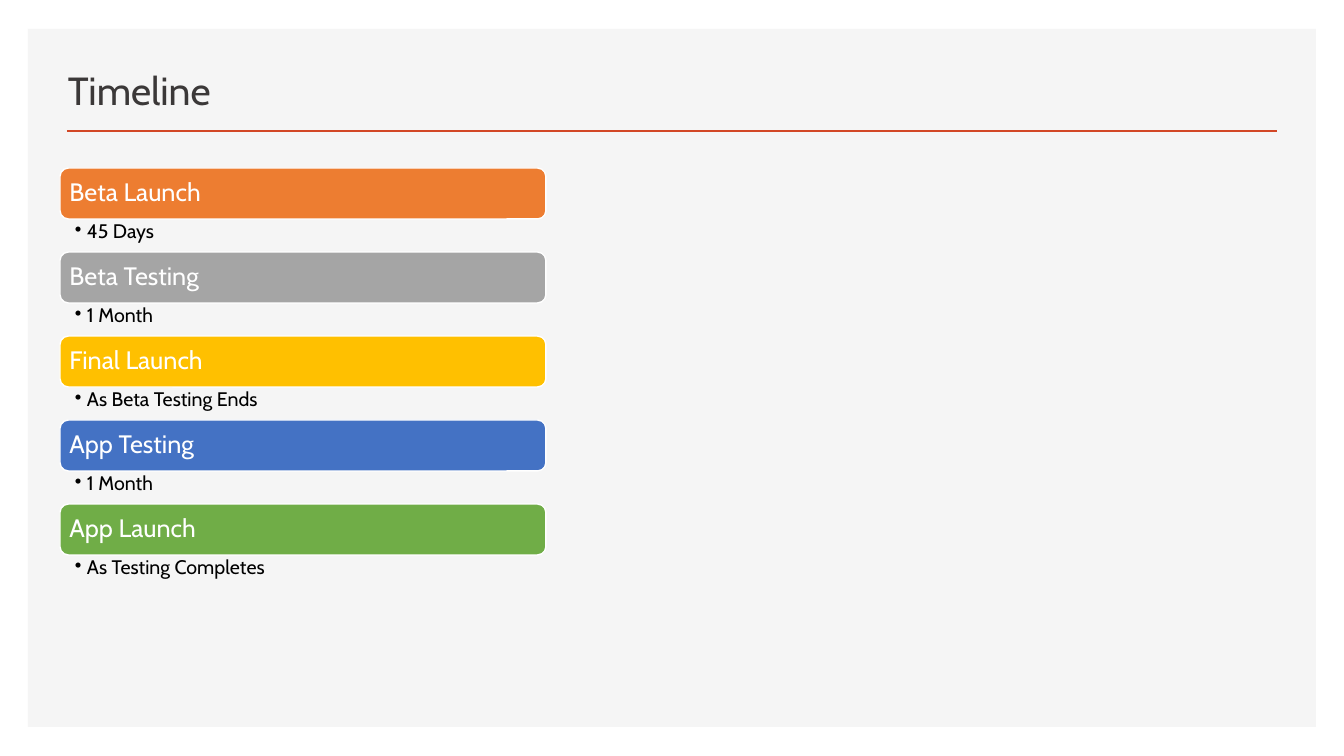
from lxml import etree
from pptx import Presentation
from pptx import util as u
from pptx.dml.color import RGBColor
from pptx.enum import shapes, text
from pptx.oxml.ns import qn

FONT = "Cabin"
STAGES = [
    ("Beta Launch", "45 Days", "ED7D31"),
    ("Beta Testing", "1 Month", "A5A5A5"),
    ("Final Launch", "As Beta Testing Ends", "FFC000"),
    ("App Testing", "1 Month", "4472C4"),
    ("App Launch", "As Testing Completes", "70AD47"),
]


def px(length):
    return u.Emu(round(length * 914400 / 100.8))


def color(hex_code):
    return RGBColor.from_string(hex_code)


def write(holder, words, size, hex_code, anchor, insets):
    frame = holder.text_frame
    frame.text = words
    frame.word_wrap = True
    frame.vertical_anchor = anchor
    (frame.margin_left, frame.margin_top,
     frame.margin_right, frame.margin_bottom) = map(px, insets)
    line = frame.paragraphs[0]
    line.alignment = text.PP_ALIGN.LEFT
    line.line_spacing = 0.9
    font = line.runs[0].font
    font.name, font.size = FONT, u.Pt(size)
    font.color.rgb = color(hex_code)
    return line


def add_block(slide, kind, box, fill):
    block = slide.shapes.add_shape(kind, *map(px, box))
    block.shadow.inherit = False
    block.fill.solid()
    block.fill.fore_color.rgb = color(fill)
    block.line.fill.background()
    return block


def add_bullet(line, indent):
    props = line._p.get_or_add_pPr()
    props.set("marL", str(px(indent)))
    props.set("indent", str(-px(indent)))
    etree.SubElement(props, qn("a:buChar")).set("char", "•")


def draw_header(slide, left, top, width, height):
    # Title
    title = slide.shapes.add_textbox(px(left - 9), px(top), px(758), px(height - 12))
    write(title, "Timeline", 28, "3B3838", text.MSO_ANCHOR.BOTTOM, (10, 5, 10, 5))
    # Rule below the title
    bottom = px(top + height)
    rule = slide.shapes.add_connector(
        shapes.MSO_CONNECTOR.STRAIGHT, px(left), bottom, px(left + width), bottom)
    rule.line.color.rgb = color("D24726")
    rule.line.width = u.Pt(2)
    etree.SubElement(rule._element.spPr, qn("a:effectLst"))


def draw_stages(slide, left, top, width, height):
    pitch = height // len(STAGES)
    bar_height = 51
    for row, (stage, duration, fill) in enumerate(STAGES):
        bar_top = top + row * pitch
        # Stage bar
        bar = add_block(slide, shapes.MSO_SHAPE.ROUNDED_RECTANGLE,
                        (left, bar_top, width, bar_height), fill)
        bar.line.color.rgb = color("FFFFFF")
        bar.line.width = u.Pt(1)
        write(bar, stage, 18, "FFFFFF", text.MSO_ANCHOR.MIDDLE, (7, 7, 7, 7))
        # Duration
        note = slide.shapes.add_textbox(
            px(left), px(bar_top + bar_height), px(width), px(pitch - bar_height))
        line = write(note, duration, 14, "000000", text.MSO_ANCHOR.TOP, (15, 3, 14, 3))
        add_bullet(line, 12)


def main():
    deck = Presentation()
    deck.slide_width, deck.slide_height = px(1344), px(756)
    slide = deck.slides.add_slide(deck.slide_layouts[6])
    # Background panel
    add_block(slide, shapes.MSO_SHAPE.RECTANGLE, (28, 29, 1288, 698), "F5F5F5")
    draw_header(slide, 67, 49, 1210, 82)
    draw_stages(slide, 60, 168, 486, 420)
    deck.save("out.pptx")


if __name__ == "__main__":
    main()
